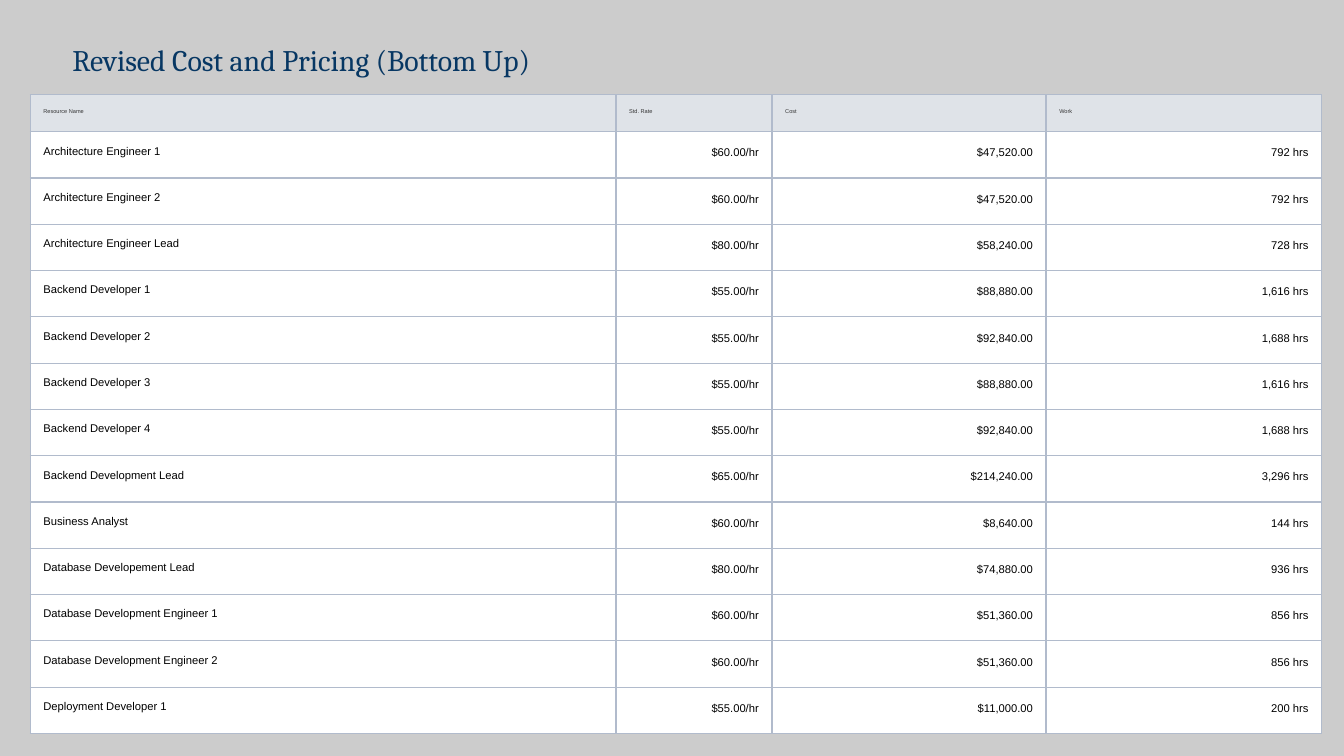
from dataclasses import dataclass

from lxml.etree import SubElement
from pptx import Presentation
from pptx.dml.color import RGBColor
from pptx.enum.text import MSO_AUTO_SIZE as AutoSize
from pptx.enum.text import MSO_VERTICAL_ANCHOR as Anchor
from pptx.enum.text import PP_PARAGRAPH_ALIGNMENT as Align
from pptx.oxml.ns import qn
from pptx.slide import Slide
from pptx.table import Table, _Cell as Cell
from pptx.text.text import _Paragraph as Paragraph
from pptx.util import Cm, Pt

BORDER_COLOR = "B1BBCC"
BORDER_WIDTH = Pt(0.75)
COLUMN_WIDTHS = (11.07, 2.95, 5.18, 5.21)
HEADER_HEIGHT = 0.7
BODY_HEIGHT = 11.38
HEADINGS = ("Resource Name", "Std. Rate", "Cost", "Work")


@dataclass(frozen=True)
class Resource:
    name: str
    rate: int
    hours: int

    def texts(self) -> tuple[str, ...]:
        cost = self.rate * self.hours
        return (self.name, f"${self.rate:.2f}/hr", f"${cost:,.2f}", f"{self.hours:,} hrs")


@dataclass(frozen=True)
class TextStyle:
    size: float
    color: str
    font: str = "Arial"
    align: Align = Align.LEFT
    spacing: float = 1.0


TITLE = TextStyle(16, "073763", font="Cambria")
HEADING = TextStyle(3, "363636")
NAME = TextStyle(6, "000000")
AMOUNT = TextStyle(6, "000000", align=Align.RIGHT, spacing=1.15)

RESOURCES = (
    Resource("Architecture Engineer 1", 60, 792),
    Resource("Architecture Engineer 2", 60, 792),
    Resource("Architecture Engineer Lead", 80, 728),
    Resource("Backend Developer 1", 55, 1616),
    Resource("Backend Developer 2", 55, 1688),
    Resource("Backend Developer 3", 55, 1616),
    Resource("Backend Developer 4", 55, 1688),
    Resource("Backend Development Lead", 65, 3296),
    Resource("Business Analyst", 60, 144),
    Resource("Database Developement Lead", 80, 936),
    Resource("Database Development Engineer 1", 60, 856),
    Resource("Database Development Engineer 2", 60, 856),
    Resource("Deployment Developer 1", 55, 200),
)


def rgb(color: str) -> RGBColor:
    return RGBColor.from_string(color)


def set_attributes(target: object, values: dict) -> None:
    for name, value in values.items():
        setattr(target, name, value)


def write_text(paragraph: Paragraph, text: str, style: TextStyle) -> None:
    set_attributes(paragraph, {"alignment": style.align, "line_spacing": style.spacing})
    run = paragraph.add_run()
    run.text = text
    set_attributes(run.font, {"name": style.font, "size": Pt(style.size), "bold": False})
    run.font.color.rgb = rgb(style.color)


def add_borders(cell: Cell) -> None:
    properties = cell._tc.get_or_add_tcPr()
    for side in ("L", "R", "T", "B"):
        line = SubElement(properties, qn(f"a:ln{side}"), w=str(BORDER_WIDTH))
        fill = SubElement(line, qn("a:solidFill"))
        SubElement(fill, qn("a:srgbClr"), val=BORDER_COLOR)


def fill_cell(cell: Cell, text: str, style: TextStyle, color: str) -> None:
    margins = ("margin_left", "margin_top", "margin_right", "margin_bottom")
    set_attributes(cell, dict.fromkeys(margins, Cm(0.25)))
    add_borders(cell)
    cell.fill.solid()
    cell.fill.fore_color.rgb = rgb(color)
    write_text(cell.text_frame.paragraphs[0], text, style)


def fill_row(table: Table, row: int, texts: tuple[str, ...],
             styles: tuple[TextStyle, ...], color: str) -> None:
    for column, (text, style) in enumerate(zip(texts, styles)):
        fill_cell(table.cell(row, column), text, style, color)


def draw_title(slide: Slide, text: str) -> None:
    title = slide.shapes.title
    set_attributes(title, {"left": Cm(1.22), "top": Cm(0), "width": Cm(20.83), "height": Cm(2.26)})
    set_attributes(title.text_frame, {
        "margin_left": Cm(0.15), "margin_right": Cm(0.15),
        "margin_top": 0, "margin_bottom": 0, "word_wrap": True,
        "auto_size": AutoSize.NONE, "vertical_anchor": Anchor.MIDDLE,
    })
    write_text(title.text_frame.paragraphs[0], text, TITLE)


def draw_cost_table(slide: Slide, resources: tuple[Resource, ...]) -> None:
    frame = slide.shapes.add_table(
        len(resources) + 1, len(HEADINGS), Cm(0.57), Cm(1.79),
        Cm(sum(COLUMN_WIDTHS)), Cm(HEADER_HEIGHT + BODY_HEIGHT))
    table = frame.table
    set_attributes(table, {"first_row": False, "horz_banding": False})
    for column, width in zip(table.columns, COLUMN_WIDTHS):
        column.width = Cm(width)
    for row in table.rows:
        row.height = Cm(BODY_HEIGHT / len(resources))
    table.rows[0].height = Cm(HEADER_HEIGHT)

    fill_row(table, 0, HEADINGS, (HEADING,) * len(HEADINGS), "DFE3E8")
    for row, resource in enumerate(resources, start=1):
        fill_row(table, row, resource.texts(), (NAME, AMOUNT, AMOUNT, AMOUNT), "FFFFFF")


def main() -> None:
    presentation = Presentation()
    set_attributes(presentation, {"slide_width": Cm(25.4), "slide_height": Cm(14.29)})
    slide = presentation.slides.add_slide(presentation.slide_layouts[5])
    slide.background.fill.solid()
    slide.background.fill.fore_color.rgb = rgb("CCCCCC")
    draw_title(slide, "Revised Cost and Pricing (Bottom Up)")
    draw_cost_table(slide, RESOURCES)
    presentation.save("out.pptx")


if __name__ == "__main__":
    main()
